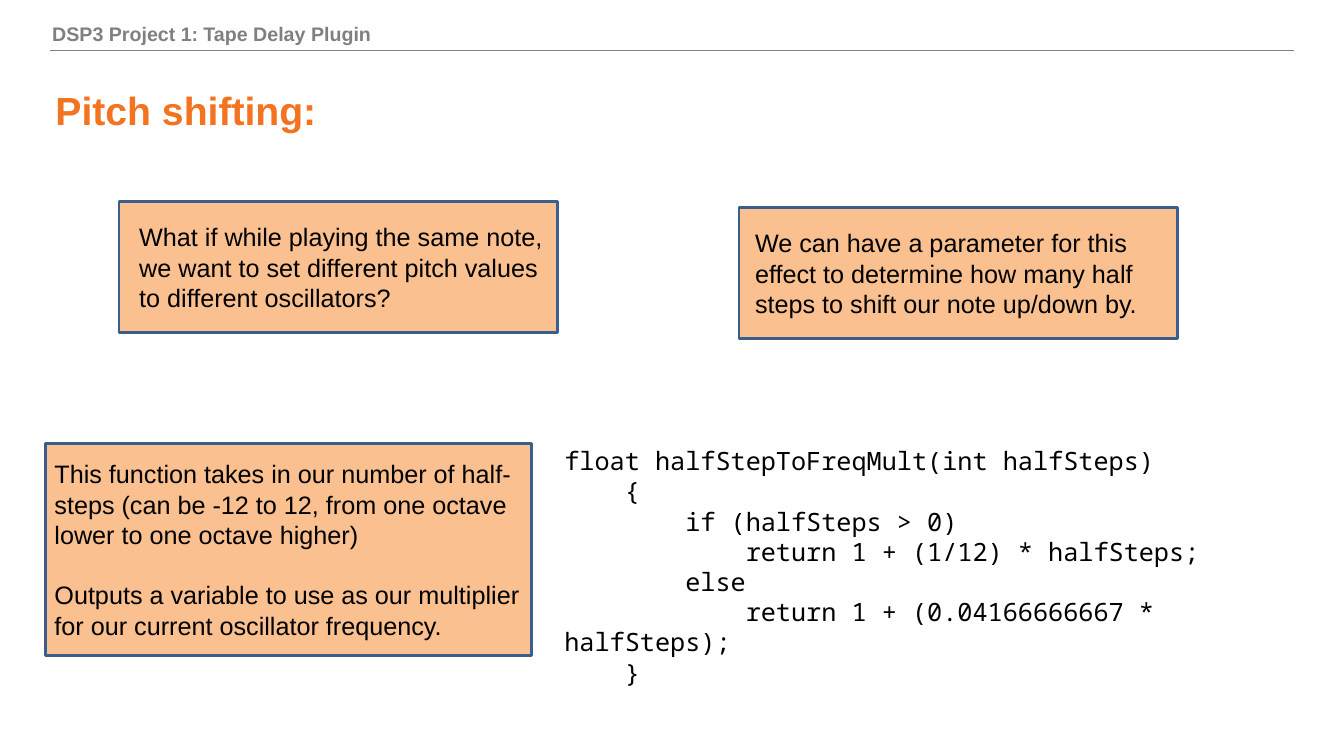
from lxml.etree import SubElement
from pptx import Presentation
from pptx.dml.color import RGBColor
from pptx.enum.shapes import MSO_CONNECTOR, MSO_SHAPE
from pptx.enum.text import MSO_ANCHOR, PP_ALIGN
from pptx.oxml.ns import qn
from pptx.util import Pt

GRAY = RGBColor(0x80, 0x80, 0x80)
ORANGE = RGBColor(0xF4, 0x73, 0x21)
PEACH = RGBColor(0xFA, 0xC0, 0x90)
BLUE = RGBColor(0x3A, 0x5F, 0x8C)
BLACK = RGBColor(0, 0, 0)

HEADER_FONT = {"name": "Arial", "size": Pt(14), "bold": True}
TITLE_FONT = {"name": "Arial", "size": Pt(28), "bold": True}
BODY_FONT = {"name": "Arial", "size": Pt(18)}
CODE_FONT = {"name": "Noto Sans Mono", "size": Pt(18)}
PARAGRAPH_GAP = 21.6

CODE = """float halfStepToFreqMult(int halfSteps)
    {
        if (halfSteps > 0)
            return 1 + (1/12) * halfSteps;
        else
            return 1 + (0.04166666667 * halfSteps);
    }"""

# Each note: box, left and right insets, paragraphs
NOTES = [
    ((85, 144, 313.2, 93.6), (14.4, 7.2),
     ["What if while playing the same note, we want to set different pitch "
      "values to different oscillators?"]),
    ((527.8, 148.3, 313.2, 93.6), (11.5, 28),
     ["We can have a parameter for this effect to determine how many half "
      "steps to shift our note up/down by."]),
    ((32.4, 316.8, 347, 151.2), (6.5, 7.2),
     ["This function takes in our number of half-steps (can be -12 to 12, "
      "from one octave lower to one octave higher)",
      "Outputs a variable to use as our multiplier for our current "
      "oscillator frequency."]),
]


def write_text(shape, paragraphs, font_values, color, anchor, gap=0):
    frame = shape.text_frame
    frame.word_wrap = True
    frame.vertical_anchor = anchor
    frame.text = "\n".join(paragraphs)
    for index, paragraph in enumerate(frame.paragraphs):
        paragraph.alignment = PP_ALIGN.LEFT
        if index and gap:
            paragraph.space_before = Pt(gap)
        for run in paragraph.runs:
            for name, value in font_values.items():
                setattr(run.font, name, value)
            run.font.color.rgb = color


def add_header(slide, left, top, width, height):
    # Running header text
    label = slide.shapes.add_textbox(Pt(left - 5.8), Pt(top), Pt(630), Pt(height))
    write_text(label, ["DSP3 Project 1:\tTape Delay Plugin"],
               HEADER_FONT, GRAY, MSO_ANCHOR.TOP)
    # Rule under the header
    rule_y = Pt(top + height)
    rule = slide.shapes.add_connector(
        MSO_CONNECTOR.STRAIGHT, Pt(left), rule_y, Pt(left + width), rule_y)
    rule.line.color.rgb = GRAY
    rule.line.width = Pt(0.75)
    SubElement(rule._element.spPr, qn("a:effectLst"))


def add_title(slide, left, top, width, height):
    title = slide.shapes.title
    title.left, title.top = Pt(left), Pt(top)
    title.width, title.height = Pt(width), Pt(height)
    write_text(title, ["Pitch shifting:"], TITLE_FONT, ORANGE, MSO_ANCHOR.MIDDLE)


def add_note(slide, box, insets, paragraphs):
    note = slide.shapes.add_shape(MSO_SHAPE.RECTANGLE, *map(Pt, box))
    note.shadow.inherit = False
    note.fill.solid()
    note.fill.fore_color.rgb = PEACH
    note.line.color.rgb = BLUE
    note.line.width = Pt(2)
    note.text_frame.margin_left, note.text_frame.margin_right = map(Pt, insets)
    write_text(note, paragraphs, BODY_FONT, BLACK, MSO_ANCHOR.MIDDLE, PARAGRAPH_GAP)


def add_code(slide, left, top, width, height):
    listing = slide.shapes.add_textbox(Pt(left), Pt(top), Pt(width), Pt(height))
    write_text(listing, CODE.split("\n"), CODE_FONT, BLACK, MSO_ANCHOR.TOP)


def main():
    presentation = Presentation()
    presentation.slide_width, presentation.slide_height = Pt(960), Pt(540)
    slide = presentation.slides.add_slide(presentation.slide_layouts[5])
    add_header(slide, 36, 12.2, 888, 23.8)
    add_title(slide, 32.4, 47.5, 452, 62)
    for box, insets, paragraphs in NOTES:
        add_note(slide, box, insets, paragraphs)
    add_code(slide, 396, 314.6, 564, 160)
    presentation.save("out.pptx")


if __name__ == "__main__":
    main()
